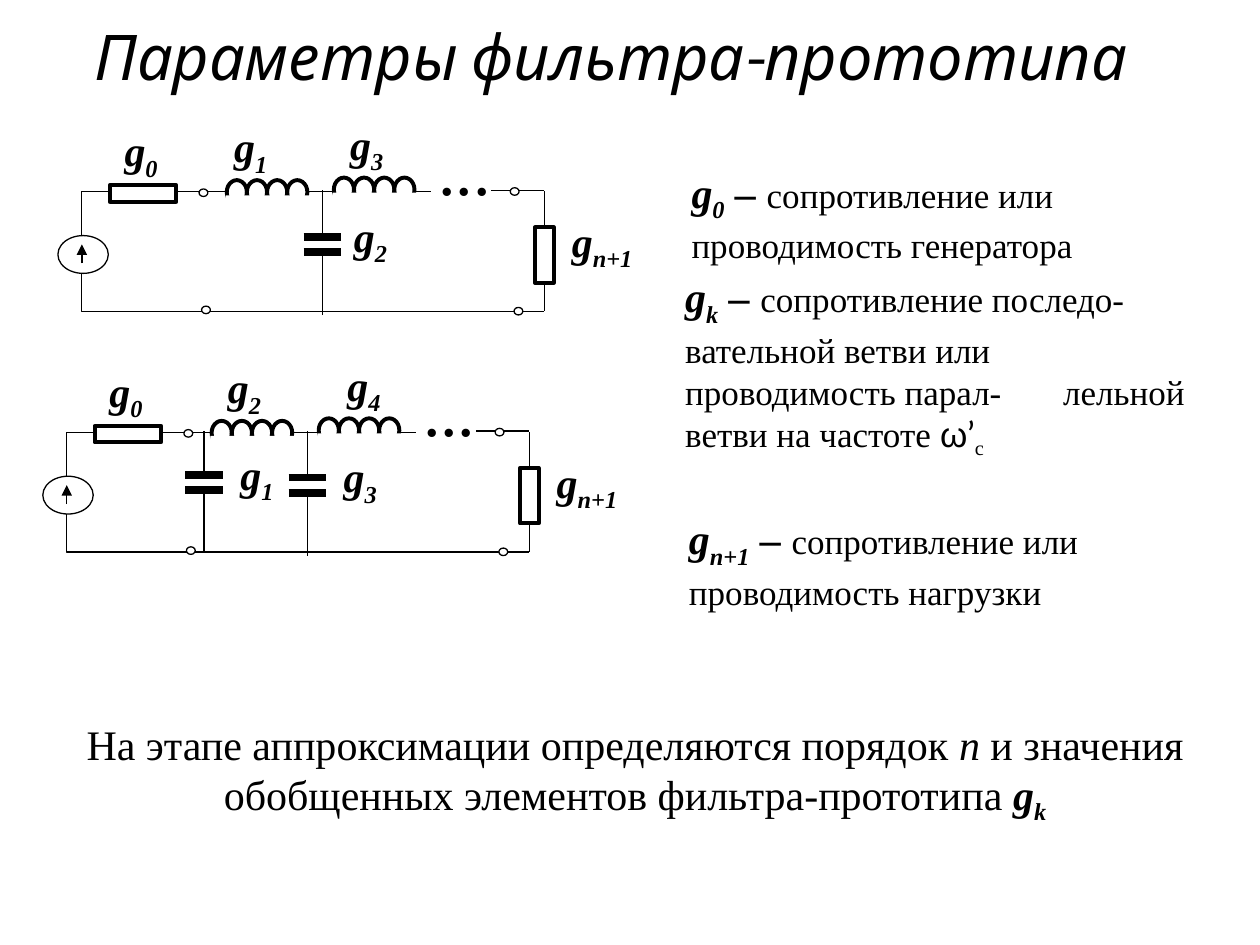
from lxml import etree
from pptx import Presentation, util as u
from pptx.dml.color import RGBColor
from pptx.enum import shapes, text
from pptx.oxml.ns import qn

PX = 9144  # EMU per px, 100 px to the inch
BLACK = RGBColor(0, 0, 0)
WHITE = RGBColor(255, 255, 255)
SERIF = "Times New Roman"
OVAL = shapes.MSO_SHAPE.OVAL
BOX = shapes.MSO_SHAPE.RECTANGLE
LEFT, CENTER = text.PP_ALIGN.LEFT, text.PP_ALIGN.CENTER

deck = Presentation()
deck.slide_width, deck.slide_height = 1000 * PX, 750 * PX
slide = deck.slides.add_slide(deck.slide_layouts[6])


def add_wire(parent, x1, y1, x2, y2, weight=0.75, arrow=False):
    wire = parent.add_connector(
        shapes.MSO_CONNECTOR.STRAIGHT, x1 * PX, y1 * PX, x2 * PX, y2 * PX)
    wire.line.color.rgb = BLACK
    wire.line.width = u.Pt(weight)
    properties = wire._element.spPr
    if arrow:
        etree.SubElement(properties.find(qn("a:ln")), qn("a:tailEnd"), type="triangle")
    etree.SubElement(properties, qn("a:effectLst"))


def add_text(left, top, width, height, runs, align=LEFT, tabs=()):
    """Each run is (words, size, flags, font); flags: b bold, i italic, s subscript."""
    box = slide.shapes.add_textbox(left * PX, top * PX, width * PX, height * PX)
    box.text_frame.word_wrap = True
    paragraph = box.text_frame.paragraphs[0]
    paragraph.alignment = align
    if tabs:
        stops = etree.SubElement(paragraph._p.get_or_add_pPr(), qn("a:tabLst"))
        for stop in tabs:
            etree.SubElement(stops, qn("a:tab"), pos=str(stop * PX), algn="l")
    for words, size, flags, font in runs:
        run = paragraph.add_run()
        run.text = words
        run.font.name = font
        run.font.size = u.Pt(size)
        run.font.bold = "b" in flags
        run.font.italic = "i" in flags
        run.font.color.rgb = BLACK
        if "s" in flags:
            run._r.get_or_add_rPr().set("baseline", "-25000")
    return paragraph


title = add_text(44, 30, 893, 70, [("Параметры фильтра-прототипа ", 36, "i", "Karla")], CENTER)
title.line_spacing = 0.6

# Offset of each circuit, its capacitors (x, plate y) and labels (index, left, top, width)
circuits = [
    (0, 0, [(256, 188)],
     [("0", 89, 94, 76), ("1", 176, 91, 76), ("3", 268, 89, 76),
      ("n+1", 444, 166, 83), ("2", 271, 162, 76)]),
    (-12, 191, [(256, 188), (174, 186)],
     [("0", 89, 94, 76), ("2", 183, 91, 76), ("4", 278, 89, 76),
      ("n+1", 444, 166, 83), ("3", 275, 162, 76), ("1", 193, 160, 76)]),
]

for dx, dy, capacitors, labels in circuits:
    outlined = []

    for x1, y1, x2, y2 in [(390, 151, 432, 151), (97, 247, 432, 247),
                           (78, 152, 342, 152), (432, 152, 432, 247)]:
        add_wire(slide.shapes, x1 + dx, y1 + dy, x2 + dx, y2 + dy)

    source_loop = slide.shapes.build_freeform(100 + dx, 247 + dy, scale=PX)
    source_loop.add_line_segments(
        [(65 + dx, 247 + dy), (65 + dx, 152 + dy), (105 + dx, 152 + dy)], close=False)
    source_wire = source_loop.convert_to_shape()
    source_wire.fill.background()
    source_wire.line.color.rgb = BLACK
    source_wire.line.width = u.Pt(0.75)
    source_wire.shadow.inherit = False

    # Terminals, current source, load and generator resistors
    for kind, left, top, width, height, turn, weight in [
            (OVAL, 158, 150, 7, 6, 0, 0.75), (OVAL, 160, 243, 7, 6, 0, 0.75),
            (OVAL, 408, 244, 7, 6, 0, 0.75), (OVAL, 405, 149, 7, 6, 0, 0.75),
            (OVAL, 46, 187, 40, 30, 0, 0.75),
            (BOX, 410, 195, 44, 15, 90, 2.25), (BOX, 87, 147, 53, 13, 180, 2.25)]:
        part = slide.shapes.add_shape(
            kind, (left + dx) * PX, (top + dy) * PX, width * PX, height * PX)
        part.rotation = turn
        outlined.append((part, weight))
    add_wire(slide.shapes, 65 + dx, 209 + dy, 65 + dx, 194 + dy, arrow=True)

    for x, plate_y in capacitors:
        x, plate_y = x + dx, plate_y + dy
        plates = slide.shapes.add_group_shape().shapes
        for y in (plate_y, plate_y + 12):
            add_wire(plates, x - 15, y, x + 15, y, weight=4.5)
        add_wire(slide.shapes, x, 151 + dy, x, plate_y)
        add_wire(slide.shapes, x, plate_y + 11, x, plate_y + 62)

    for left, top in [(180, 143), (265, 141)]:
        left, top = left + dx, top + dy
        coil = slide.shapes.add_group_shape().shapes
        for turn in range(4):
            loop = coil.add_shape(OVAL, (left + 16 * turn) * PX, top * PX, 16 * PX, 19 * PX)
            outlined.append((loop, 2.25))
        mask = coil.add_shape(BOX, (left - 1) * PX, (top + 12) * PX, 67 * PX, 10 * PX)
        outlined.append((mask, 0))

    for part, weight in outlined:
        part.shadow.inherit = False
        part.fill.solid()
        part.fill.fore_color.rgb = WHITE
        if weight:
            part.line.color.rgb = BLACK
            part.line.width = u.Pt(weight)
        else:
            part.line.fill.background()

    add_text(338 + dx, 95 + dy, 71, 77, [("...", 40, "", SERIF)])
    for index, left, top, width in labels:
        add_text(left + dx, top + dy, width, 52,
                 [("g", 24, "bi", SERIF), (index, 24, "bis", SERIF)])

definitions = [
    (539, 127, 403, 100, 59, "0",
     [("сопротивление или \tпроводимость генератора", 20, "", SERIF)]),
    (534, 210, 466, 189, 59, "k",
     [("сопротивление последо-\tвательной ветви или \tпроводимость парал-"
       "\tлельной ветви на частоте ", 20, "", SERIF),
      ("ω", 20, "", "Arial"), ("’", 20, "", "Lato"), ("с", 20, "s", SERIF)]),
    (537, 402, 434, 100, 88, "n+1",
     [("сопротивление или \tпроводимость нагрузки", 20, "", SERIF)]),
]
for left, top, width, height, first_tab, index, meaning in definitions:
    symbol = [("g", 24, "bi", SERIF), (index, 24, "bis", SERIF), (" – ", 24, "bi", SERIF)]
    add_text(left, top, width, height, symbol + meaning,
             tabs=[0, first_tab, *range(100, 700, 100)])

add_text(28, 565, 952, 96, [
    ("На этапе аппроксимации определяются порядок ", 24, "", SERIF),
    ("n", 24, "i", SERIF),
    (" и значения обобщенных элементов фильтра-прототипа ", 24, "", SERIF),
    ("g", 24, "bi", SERIF), ("k", 24, "bis", SERIF)], CENTER)

deck.save("out.pptx")
